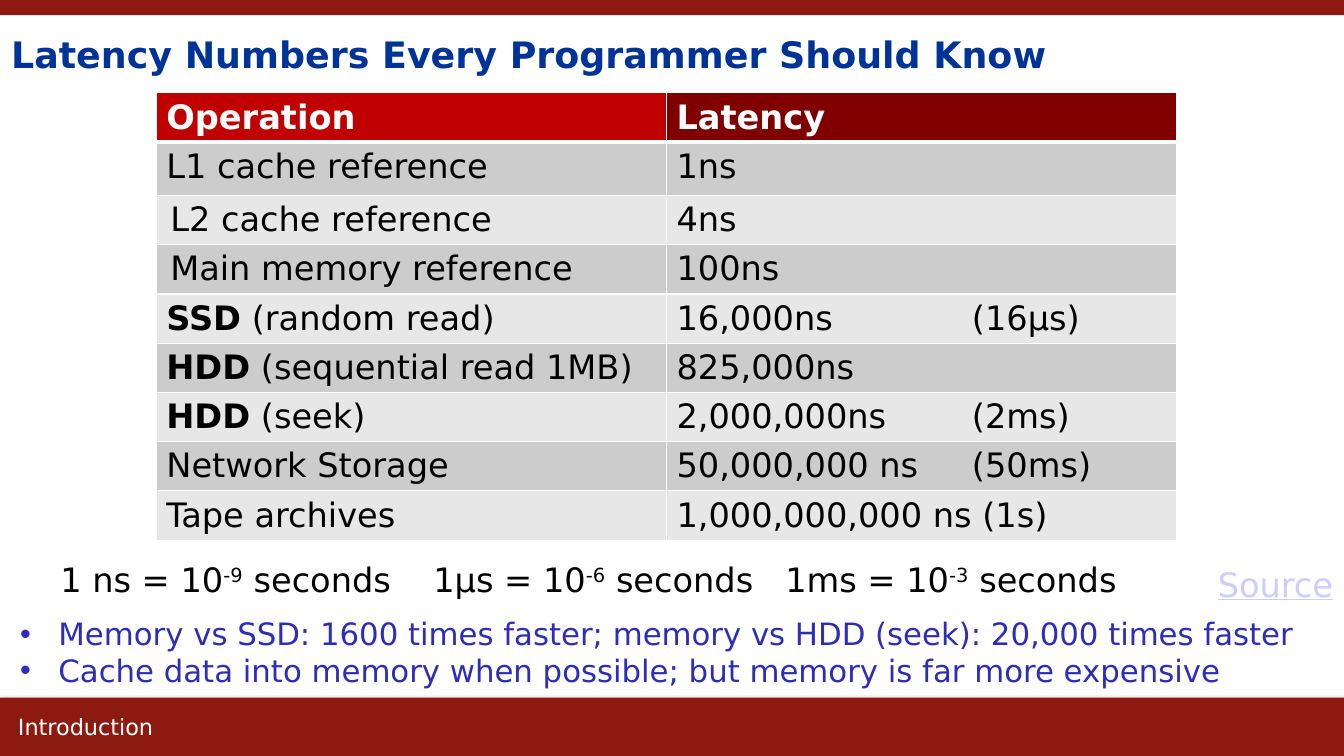
import pptx
import pptx.dml.color
import pptx.enum.shapes
import pptx.enum.text
import pptx.oxml
import pptx.oxml.ns
import pptx.util

Inches = pptx.util.Inches
Pt = pptx.util.Pt
RGBColor = pptx.dml.color.RGBColor
Anchor = pptx.enum.text.MSO_ANCHOR

BAR_RED = RGBColor(0x8D, 0x1A, 0x11)
TITLE_BLUE = RGBColor(0x00, 0x33, 0x99)
HEADER_FILLS = [RGBColor(0xC0, 0x00, 0x00), RGBColor(0x80, 0x00, 0x00)]
ROW_FILLS = [RGBColor(0xCC, 0xCC, 0xCC), RGBColor(0xE7, 0xE7, 0xE7)]
BULLET_BLUE = RGBColor(0x2D, 0x2D, 0xB9)
LINK_LILAC = RGBColor(0xCC, 0xCC, 0xFF)
BLACK = RGBColor(0x00, 0x00, 0x00)
WHITE = RGBColor(0xFF, 0xFF, 0xFF)
FONT = "DejaVu Sans"

LATENCIES = [
    ("L1 cache reference", "1ns"),
    ("L2 cache reference", "4ns"),
    ("Main memory reference", "100ns"),
    ("**SSD** (random read)", "16,000ns\t(16μs)"),
    ("**HDD** (sequential read 1MB)", "825,000ns"),
    ("**HDD** (seek)", "2,000,000ns\t(2ms)"),
    ("Network Storage", "50,000,000 ns\t(50ms)"),
    ("Tape archives", "1,000,000,000 ns (1s)"),
]
TIGHT_ROWS = (2, 3)


def xml(markup):
    namespace = pptx.oxml.ns.nsdecls("a")
    return pptx.oxml.parse_xml(markup.replace(" ", f" {namespace} ", 1))


def write(paragraph, text, size=24, color=BLACK, bold=False, underline=False, raised=False):
    """Add one formatted run to a paragraph."""
    run = paragraph.add_run()
    run.text = text
    font = run.font
    font.name, font.size, font.bold = FONT, Pt(size), bold
    font.color.rgb = color
    if underline:
        font.underline = True
    if raised:
        run._r.get_or_add_rPr().set("baseline", "30000")


def set_tabs(paragraph, *stops):
    tabs = "".join(f'<a:tab pos="{Inches(stop)}" algn="l"/>' for stop in stops)
    paragraph._p.get_or_add_pPr().append(xml(f"<a:tabLst >{tabs}</a:tabLst>"))


class SlideBuilder:
    def __init__(self, presentation):
        self.slide = presentation.slides.add_slide(presentation.slide_layouts[1])
        self.shapes = self.slide.shapes

    def place(self, shape, left, top, width, height):
        shape.left, shape.top = Inches(left), Inches(top)
        shape.width, shape.height = Inches(width), Inches(height)

    def bar(self, top, height, shadow=False):
        shape = self.shapes.add_shape(
            pptx.enum.shapes.MSO_SHAPE.RECTANGLE,
            Inches(0), Inches(top), Inches(13.33), Inches(height))
        shape.shadow.inherit = False
        shape.fill.solid()
        shape.fill.fore_color.rgb = BAR_RED
        shape.line.fill.background()
        if shadow:
            effects = shape._element.spPr.find(pptx.oxml.ns.qn("a:effectLst"))
            effects.append(xml(
                f'<a:outerShdw blurRad="{Pt(3.1)}" dist="{Pt(1.8)}" dir="5400000">'
                '<a:srgbClr val="000000"><a:alpha val="35000"/></a:srgbClr></a:outerShdw>'))

    def title(self, text):
        shape = self.shapes.title
        self.place(shape, 0.11, 0.19, 13.02, 0.79)
        frame = shape.text_frame
        frame.auto_size = pptx.enum.text.MSO_AUTO_SIZE.NONE
        frame.vertical_anchor = Anchor.MIDDLE
        frame.margin_left = frame.margin_top = 0
        paragraph = frame.paragraphs[0]
        paragraph.alignment = pptx.enum.text.PP_ALIGN.LEFT
        paragraph.line_spacing = 0.95
        write(paragraph, text, size=26, color=TITLE_BLUE, bold=True)

    def bullets(self, items):
        shape = self.slide.placeholders[1]
        self.place(shape, 0.1, 6.05, 13.13, 0.84)
        frame = shape.text_frame
        frame.auto_size = pptx.enum.text.MSO_AUTO_SIZE.NONE
        for index, item in enumerate(items):
            paragraph = frame.add_paragraph() if index else frame.paragraphs[0]
            properties = paragraph._p.get_or_add_pPr()
            properties.set("marL", str(Inches(0.38)))
            properties.set("indent", str(Inches(-0.38)))
            properties.append(xml('<a:buChar char="•"/>'))
            paragraph.space_before = Pt(0)
            write(paragraph, item, size=22, color=BULLET_BLUE)

    def text_box(self, left, top, width, height, wrap=False):
        """Add an empty text box and return its first paragraph."""
        box = self.shapes.add_textbox(
            Inches(left), Inches(top), Inches(width), Inches(height))
        box.text_frame.word_wrap = wrap
        return box.text_frame.paragraphs[0]

    def cell(self, cell, fill, text, borders, color=BLACK, bold=False):
        properties = cell._tc.get_or_add_tcPr()
        for side, width in zip("LRTB", borders):
            properties.append(xml(
                f'<a:ln{side} w="{Pt(width)}"><a:solidFill><a:srgbClr val="{WHITE}"/>'
                f'</a:solidFill></a:ln{side}>'))
        cell.fill.solid()
        cell.fill.fore_color.rgb = fill
        paragraph = cell.text_frame.paragraphs[0]
        if "\t" in text:
            set_tabs(paragraph, 2.93)
        for index, part in enumerate(text.split("**")):
            if part:
                write(paragraph, part, color=color, bold=bold or index % 2 == 1)

    def latency_table(self, header, rows):
        table = self.shapes.add_table(
            len(rows) + 1, 2, Inches(1.55), Inches(0.92), Inches(10.12), Inches(4.21)).table
        for row in table.rows:
            row.height = Inches(0.46)
        table.rows[1].height = Inches(0.53)
        for column, text in enumerate(header):
            self.cell(table.cell(0, column), HEADER_FILLS[column], text,
                      (1, 1, 1, 3), color=WHITE, bold=True)
        for number, texts in enumerate(rows, start=1):
            borders = (1, 1, 3 if number == 1 else 1, 1)
            for column, text in enumerate(texts):
                self.cell(table.cell(number, column), ROW_FILLS[(number - 1) % 2],
                          text, borders)
        for number in TIGHT_ROWS:
            cell = table.cell(number, 0)
            cell.vertical_anchor = Anchor.MIDDLE
            cell.margin_left, cell.margin_right = Inches(0.14), Inches(0.04)
            cell.margin_top = cell.margin_bottom = Inches(0.02)


def main():
    presentation = pptx.Presentation()
    presentation.slide_width, presentation.slide_height = Inches(13.33), Inches(7.5)
    builder = SlideBuilder(presentation)

    # Red bars and title
    builder.bar(6.92, 0.58, shadow=True)
    builder.bar(0, 0.15)
    builder.title("Latency Numbers Every Programmer Should Know")

    # Latency table
    builder.latency_table(("Operation", "Latency"), LATENCIES)

    # Unit definitions
    units = builder.text_box(0.5, 5.5, 12.17, 0.5, wrap=True)
    set_tabs(units, 3.7, 7.19)
    for lead, exponent in (("1 ns", "-9"), ("\t1μs", "-6"), ("\t1ms", "-3")):
        write(units, f"{lead} = 10")
        write(units, exponent, raised=True)
        write(units, " seconds")

    # Source label and footer
    write(builder.text_box(11.98, 5.55, 1.37, 0.5), "Source",
          color=LINK_LILAC, underline=True)
    write(builder.text_box(0.08, 7.03, 1.59, 0.37), "Introduction", size=16, color=WHITE)

    # Takeaways
    builder.bullets([
        "Memory vs SSD: 1600 times faster; memory vs HDD (seek): 20,000 times faster",
        "Cache data into memory when possible; but memory is far more expensive",
    ])

    presentation.save("out.pptx")


if __name__ == "__main__":
    main()
